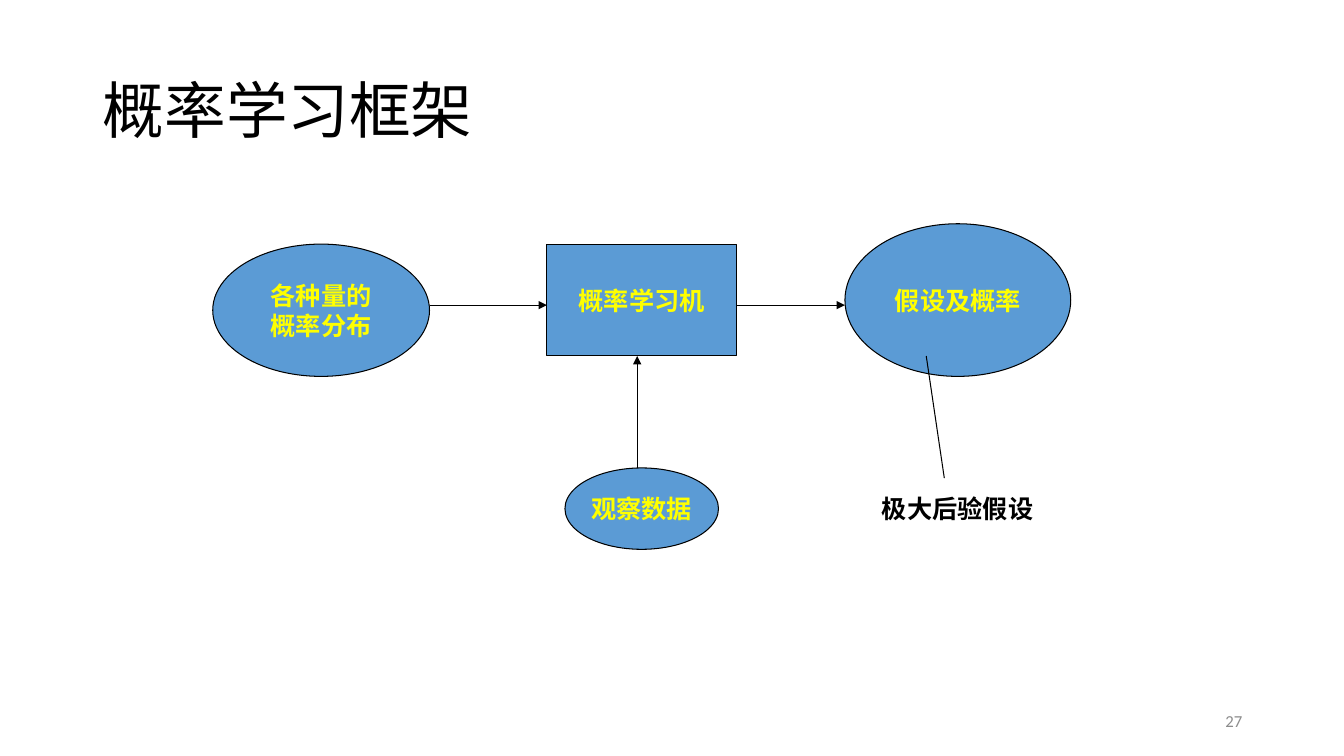
from lxml import etree
from pptx import Presentation, util as u
from pptx.dml.color import RGBColor
from pptx.enum import lang, shapes, text
from pptx.oxml import ns

WIDTH, HEIGHT = 13.33, 7.5
COLUMNS, ROWS = 95, 32  # grid of the diagram
BLACK, BLUE, YELLOW, GREY = "000000", "5B9BD5", "FFFF00", "8C8C8C"
OVAL, RECTANGLE = shapes.MSO_SHAPE.OVAL, shapes.MSO_SHAPE.RECTANGLE

# Nodes: outline, (column, row, columns, rows), lines of text
NODES = [
    (OVAL, (0, 2, 24, 13), ["各种量的", "概率分布"]),
    (OVAL, (39, 24, 17, 8), ["观察数据"]),
    (RECTANGLE, (37, 2, 21, 11), ["概率学习机"]),
    (OVAL, (70, 0, 25, 15), ["假设及概率"]),
]
# Links: start and end as (column, row), arrowhead
LINKS = [
    ((24, 8), (37, 8), True),
    ((47, 24), (47, 13), True),
    ((58, 8), (70, 8), True),
    ((79, 13), (81, 25), False),
]


def color(value):
    return RGBColor.from_string(value)


def inches(values):
    return [u.Inches(value) for value in values]


def write(frame, lines, size, font, ink, bold=False, align=text.PP_ALIGN.LEFT):
    for index, line in enumerate(lines):
        para = frame.add_paragraph() if index else frame.paragraphs[0]
        para.alignment = align
        span = para.add_run()
        span.text = line
        span.font.size = u.Pt(size)
        span.font.name = font
        span.font.bold = bold
        span.font.color.rgb = color(ink)
        span.font.language_id = lang.MSO_LANGUAGE_ID.SIMPLIFIED_CHINESE


def outline(line):
    line.color.rgb = color(BLACK)
    line.width = u.Pt(0.75)


def add_title(page, box):
    title = page.shapes.title
    title.left, title.top, title.width, title.height = inches(box)
    frame = title.text_frame
    frame.auto_size = text.MSO_AUTO_SIZE.NONE
    frame.vertical_anchor = text.MSO_ANCHOR.MIDDLE
    write(frame, ["概率学习框架"], 44, "Calibri", BLACK)
    frame.paragraphs[0].line_spacing = 0.9


def add_page_number(page, box):
    frame = page.shapes.add_textbox(*inches(box)).text_frame
    frame.word_wrap = True
    frame.vertical_anchor = text.MSO_ANCHOR.MIDDLE
    write(frame, ["27"], 12, "Calibri", GREY, align=text.PP_ALIGN.RIGHT)


def add_node(page, kind, box, lines):
    node = page.shapes.add_shape(kind, *inches(box))
    node.shadow.inherit = False
    node.fill.solid()
    node.fill.fore_color.rgb = color(BLUE)
    outline(node.line)
    frame = node.text_frame
    frame.word_wrap = False
    frame.vertical_anchor = text.MSO_ANCHOR.MIDDLE
    write(frame, lines, 18, "Karla", YELLOW, True, text.PP_ALIGN.CENTER)


def add_link(page, start, end, arrow):
    link = page.shapes.add_connector(
        shapes.MSO_CONNECTOR.STRAIGHT, *inches(start + end))
    outline(link.line)
    if arrow:
        etree.SubElement(link.line._get_or_add_ln(), ns.qn("a:tailEnd"), type="triangle")
    etree.SubElement(link._element.spPr, ns.qn("a:effectLst"))


def add_diagram(page, box):
    left, top, width, height = box
    column, row = width / COLUMNS, height / ROWS

    def point(x, y):
        return left + x * column, top + y * row

    def area(x, y, columns, rows):
        return point(x, y) + (columns * column, rows * row)

    for kind, cells, lines in NODES:
        add_node(page, kind, area(*cells), lines)
    for start, end, arrow in LINKS:
        add_link(page, point(*start), point(*end), arrow)

    # Label under the hypothesis node
    frame = page.shapes.add_textbox(*inches(area(73, 26, 23, 4))).text_frame
    frame.word_wrap = True
    write(frame, ["极大后验假设"], 18, "Karla", BLACK, True)


def main():
    deck = Presentation()
    deck.slide_width, deck.slide_height = inches((WIDTH, HEIGHT))
    page = deck.slides.add_slide(deck.slide_layouts.get_by_name("Title Only"))
    add_title(page, (0.92, 0.4, 11.5, 1.45))
    add_page_number(page, (9.42, 6.95, 3, 0.4))
    add_diagram(page, (2.11, 2.22, 8.51, 3.23))
    deck.save("out.pptx")


if __name__ == "__main__":
    main()
